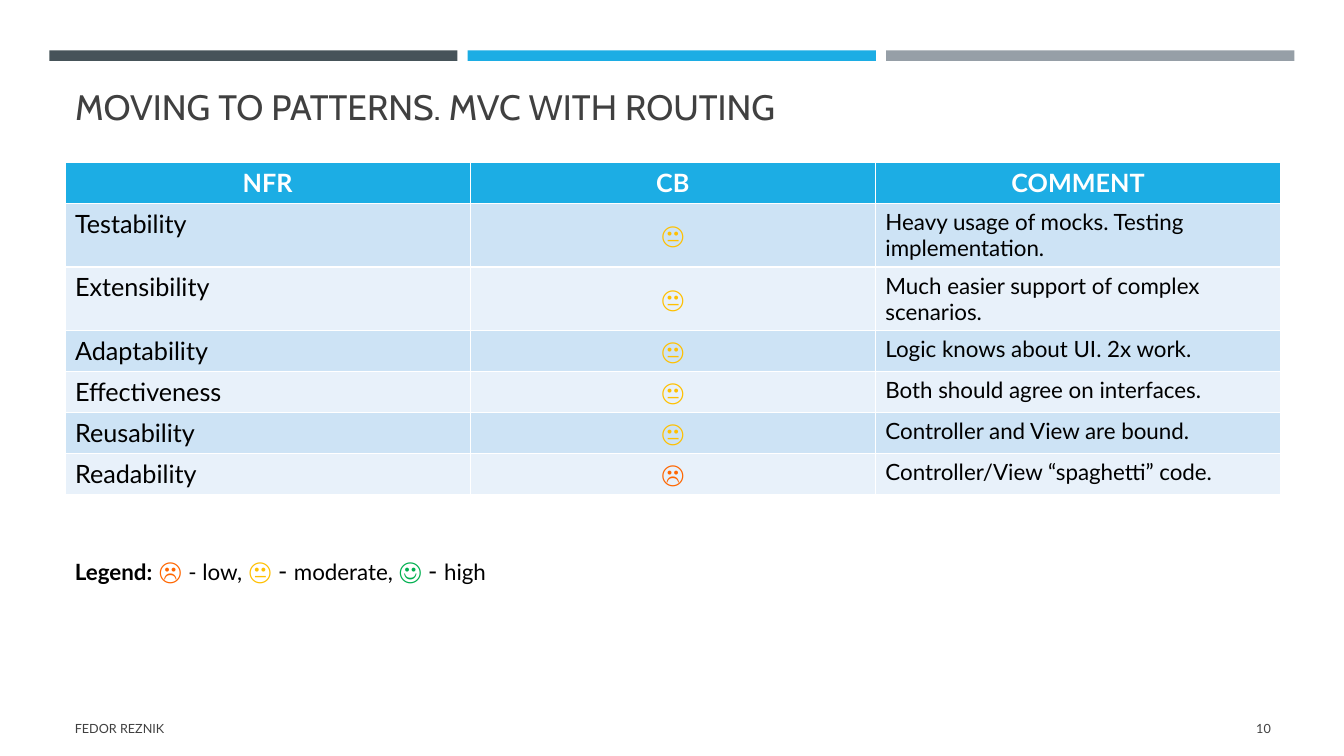
from dataclasses import dataclass
from typing import Any

from pptx import Presentation
from pptx.dml.color import RGBColor
from pptx.enum.shapes import MSO_SHAPE
from pptx.enum.text import MSO_ANCHOR, MSO_AUTO_SIZE, PP_ALIGN
from pptx.util import Pt

RECTANGLE = MSO_SHAPE.RECTANGLE
TOP, MIDDLE, BOTTOM = MSO_ANCHOR.TOP, MSO_ANCHOR.MIDDLE, MSO_ANCHOR.BOTTOM
LEFT, CENTER, RIGHT = PP_ALIGN.LEFT, PP_ALIGN.CENTER, PP_ALIGN.RIGHT
NO_AUTOFIT = MSO_AUTO_SIZE.NONE

BLACK, WHITE, GREY = "000000", "FFFFFF", "404040"
BLUE, BAND_DARK, BAND_LIGHT = "1CADE4", "CDE3F5", "E8F1FA"
ORANGE, YELLOW, GREEN = "FF6600", "FFC000", "00B050"

MARGIN, CONTENT_WIDTH = 46.4, 868.4


@dataclass
class Span:
    text: str
    size: float
    color: str = BLACK
    bold: bool = False
    font: str = "Lato"


@dataclass
class Box:
    left: float
    top: float
    width: float
    height: float

    def lengths(self) -> list[Pt]:
        return [Pt(v) for v in (self.left, self.top, self.width, self.height)]


@dataclass
class Label:
    box: Box
    spans: list[Span]
    align: PP_ALIGN = LEFT
    anchor: MSO_ANCHOR = MIDDLE


@dataclass
class Requirement:
    name: str
    rating: Span
    comment: str
    height: float = 29.2


LOW = Span("☹", 18, ORANGE)
MODERATE = Span("😐", 18, YELLOW)
HIGH = Span("☺", 18, GREEN)

REQUIREMENTS = [
    Requirement("Testability", MODERATE,
                "Heavy usage of mocks. Testing implementation.", 45.6),
    Requirement("Extensibility", MODERATE,
                "Much easier support of complex scenarios.", 45.6),
    Requirement("Adaptability", MODERATE, "Logic knows about UI. 2x work."),
    Requirement("Effectiveness", MODERATE, "Both should agree on interfaces."),
    Requirement("Reusability", MODERATE, "Controller and View are bound."),
    Requirement("Readability", LOW, "Controller/View “spaghetti” code."),
]
HEADINGS = ["NFR", "CB", "COMMENT"]
HEADING_HEIGHT = 29.2

LEGEND = Label(Box(MARGIN, 393.1, CONTENT_WIDTH, 29), [
    Span("Legend:", 16, bold=True), Span(" ", 18),
    LOW, Span(" ", 18), Span("- low,", 16), Span(" ", 18),
    MODERATE, Span(" - ", 18), Span("moderate, ", 16),
    HIGH, Span(" - ", 18), Span("high", 16),
], anchor=TOP)
AUTHOR = Label(Box(MARGIN, 506.2, 544.3, 28.8),
               [Span("FEDOR REZNIK", 9, GREY)])
PAGE_NUMBER = Label(Box(832, 506.2, 82.8, 28.8), [Span("10", 9, GREY)], RIGHT)


def paint(target: Any, color: str) -> None:
    """Give a fill or a font a solid hex colour."""
    if hasattr(target, "solid"):
        target.solid()
        target.fore_color.rgb = RGBColor.from_string(color)
    else:
        target.color.rgb = RGBColor.from_string(color)


def apply(target: Any, formats: dict[str, Any]) -> None:
    for attribute, value in formats.items():
        setattr(target, attribute, value)


def write(frame: Any, spans: list[Span], align: PP_ALIGN) -> None:
    paragraph = frame.paragraphs[0]
    paragraph.alignment = align
    for span in spans:
        run = paragraph.add_run()
        run.text = span.text
        apply(run.font, {"name": span.font, "size": Pt(span.size),
                         "bold": span.bold})
        paint(run.font, span.color)


def draw_bar(slide: Any, box: Box, color: str) -> None:
    bar = slide.shapes.add_shape(RECTANGLE, *box.lengths())
    bar.shadow.inherit = False
    paint(bar.fill, color)
    bar.line.fill.background()


def draw_label(slide: Any, label: Label) -> None:
    frame = slide.shapes.add_textbox(*label.box.lengths()).text_frame
    apply(frame, {"word_wrap": True, "vertical_anchor": label.anchor})
    write(frame, label.spans, label.align)


def fill_cell(cell: Any, span: Span, fill: str, align: PP_ALIGN,
              anchor: MSO_ANCHOR = TOP) -> None:
    paint(cell.fill, fill)
    cell.vertical_anchor = anchor
    write(cell.text_frame, [span], align)


def draw_title(slide: Any) -> None:
    title = slide.shapes.title
    left, top, width, height = Box(MARGIN, 55.4, CONTENT_WIDTH, 39.6).lengths()
    apply(title, {"left": left, "top": top, "width": width, "height": height})
    apply(title.text_frame, {"vertical_anchor": BOTTOM, "word_wrap": True,
                             "auto_size": NO_AUTOFIT})
    heading = Span("MOVING TO PATTERNS. MVC WITH ROUTING", 25.2, GREY,
                   font="Cabin")
    write(title.text_frame, [heading], LEFT)


def draw_requirements(slide: Any) -> None:
    heights = [HEADING_HEIGHT] + [item.height for item in REQUIREMENTS]
    box = Box(MARGIN, 115.9, CONTENT_WIDTH, sum(heights))
    table = slide.shapes.add_table(len(heights), len(HEADINGS),
                                   *box.lengths()).table
    for row, height in zip(table.rows, heights):
        row.height = Pt(height)
    for column, heading in enumerate(HEADINGS):
        fill_cell(table.cell(0, column), Span(heading, 18, WHITE, True),
                  BLUE, CENTER)
    for row, item in enumerate(REQUIREMENTS, start=1):
        band = BAND_DARK if row % 2 else BAND_LIGHT
        fill_cell(table.cell(row, 0), Span(item.name, 18), band, LEFT)
        fill_cell(table.cell(row, 1), item.rating, band, CENTER, MIDDLE)
        fill_cell(table.cell(row, 2), Span(item.comment, 16), band, LEFT)


def main() -> None:
    deck = Presentation()
    apply(deck, {"slide_width": Pt(960), "slide_height": Pt(540)})
    slide = deck.slides.add_slide(deck.slide_layouts[5])

    # Header bars
    for index, color in enumerate(("465359", BLUE, "969FA7")):
        draw_bar(slide, Box(35.2 + 298.9 * index, 36, 291.6, 7.6), color)

    # Title and table
    draw_title(slide)
    draw_requirements(slide)

    # Legend and footer
    for label in (LEGEND, AUTHOR, PAGE_NUMBER):
        draw_label(slide, label)

    deck.save("out.pptx")


if __name__ == "__main__":
    main()
